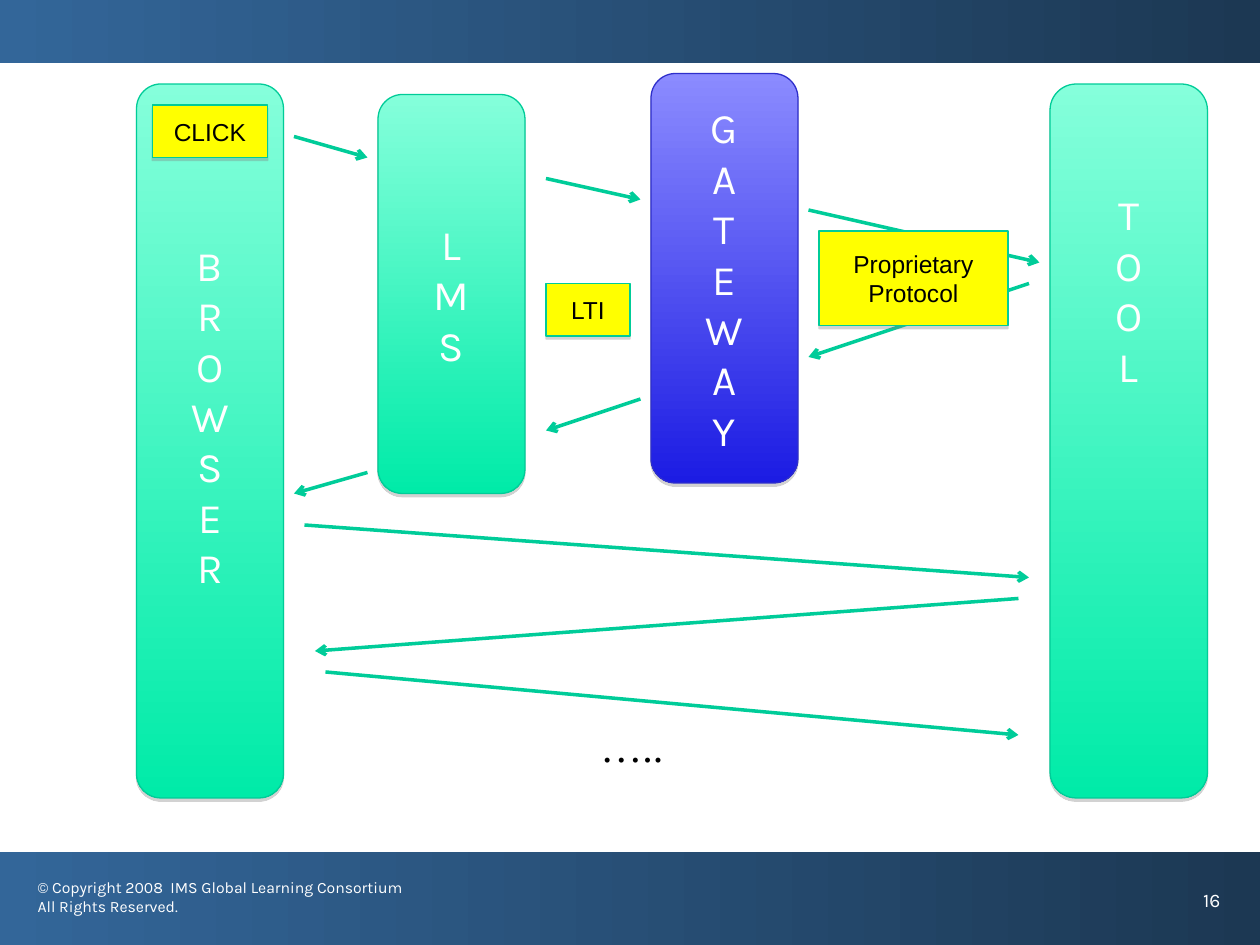
import pptx
import pptx.dml.color
import pptx.enum.shapes
import pptx.enum.text
import pptx.oxml
import pptx.util
from pptx.oxml.ns import nsdecls, qn

Shape = pptx.enum.shapes.MSO_SHAPE
Align = pptx.enum.text.PP_ALIGN
Anchor = pptx.enum.text.MSO_ANCHOR

GRID = 25.4 / 120  # the page is 120 x 90 grid steps
LETTER_STEP = 4.8  # height of one 24 pt line, in grid steps


def units(*steps):
    return [pptx.util.Cm(step * GRID) for step in steps]


def color(hex_code):
    return pptx.dml.color.RGBColor.from_string(hex_code)


def write(box, lines, font="Karla", size=24, ink="FFFFFF",
          align=Align.LEFT, anchor=Anchor.TOP, wrap=True, lift=0):
    """Fill a box with one paragraph per line; lift raises centred text."""
    frame = box.text_frame
    frame.word_wrap = wrap
    frame.vertical_anchor = anchor
    frame.margin_left = frame.margin_right = pptx.util.Cm(0.25)
    frame.margin_top = pptx.util.Cm(0.13)
    frame.margin_bottom = pptx.util.Cm(0.13 + lift * GRID)
    for index, line in enumerate(lines):
        para = frame.paragraphs[0] if index == 0 else frame.add_paragraph()
        para.alignment = align
        span = para.add_run()
        span.text = line
        span.font.name = font
        span.font.size = pptx.util.Pt(size)
        span.font.color.rgb = color(ink)


class Diagram:
    arrow_color = "00CC99"
    border = "00CC98"
    green = ("85FFDB", "00EBA8")
    blue = ("8B8BFF", "1C1CE3")
    bar_colors = ("1C3853", "336699")

    def __init__(self, page):
        self.page = page

    def shape(self, kind, area):
        box = self.page.shapes.add_shape(kind, *units(*area))
        box.shadow.inherit = False
        return box

    def gradient(self, box, colors, angle):
        box.fill.gradient()
        box.fill.gradient_angle = angle
        for stop, hex_code in zip(box.fill.gradient_stops, colors):
            stop.color.rgb = color(hex_code)

    def outline(self, box, hex_code):
        box.line.color.rgb = color(hex_code)
        box.line.width = pptx.util.Pt(0.75)

    def drop_shadow(self, box):
        effects = box._element.spPr.find(qn("a:effectLst"))
        effects.append(pptx.oxml.parse_xml(
            f'<a:outerShdw {nsdecls("a")} blurRad="0" dist="23000" dir="5400000" '
            'rotWithShape="0"><a:srgbClr val="808080"><a:alpha val="35000"/>'
            '</a:srgbClr></a:outerShdw>'))

    def bar(self, area):
        box = self.shape(Shape.RECTANGLE, area)
        self.gradient(box, self.bar_colors, 180)
        box.line.fill.background()

    def system(self, name, area, colors=green, border=border, lift=0):
        box = self.shape(Shape.ROUNDED_RECTANGLE, area)
        self.gradient(box, colors, 270)
        self.outline(box, border)
        self.drop_shadow(box)
        write(box, name, align=Align.CENTER, anchor=Anchor.MIDDLE, lift=lift)

    def label(self, lines, area):
        box = self.shape(Shape.RECTANGLE, area)
        box.fill.solid()
        box.fill.fore_color.rgb = color("FFFF00")
        self.outline(box, self.border)
        self.drop_shadow(box)
        write(box, lines, font="Arial", size=14, ink="000000",
              align=Align.CENTER, anchor=Anchor.MIDDLE)

    def arrow(self, *ends):
        line = self.page.shapes.add_connector(
            pptx.enum.shapes.MSO_CONNECTOR.STRAIGHT, *units(*ends))
        line.line.color.rgb = color(self.arrow_color)
        line.line.width = pptx.util.Pt(2)
        line.line._get_or_add_ln().append(
            pptx.oxml.parse_xml(f'<a:tailEnd {nsdecls("a")} type="arrow"/>'))
        line._element.spPr.append(
            pptx.oxml.parse_xml(f'<a:effectLst {nsdecls("a")}/>'))

    def text(self, lines, area, **style):
        write(self.page.shapes.add_textbox(*units(*area)), lines, **style)


def main():
    deck = pptx.Presentation()
    deck.slide_width, deck.slide_height = units(120, 90)
    diagram = Diagram(deck.slides.add_slide(deck.slide_layouts[6]))

    # Header and footer
    diagram.bar((0, 81.12, 120, 8.88))
    diagram.text(["© Copyright 2008  IMS Global Learning Consortium",
                  "All Rights Reserved."], (2.4, 83, 37.6, 6), size=9)
    diagram.bar((0, 0, 120, 6))
    diagram.text(["16"], (113.4, 84, 6.6, 6), size=11)

    # Systems, with their names set letter by letter
    diagram.system("BROWSER", (13, 8, 14, 68), lift=LETTER_STEP)
    diagram.system("LMS", (36, 9, 14, 38))
    diagram.system("GATEWAY", (62, 7, 14, 39), Diagram.blue, "2E2ECB")
    diagram.system("TOOL", (100, 8, 15, 68), lift=6 * LETTER_STEP)

    # Messages in order of time
    for ends in [(28, 13, 35, 15), (52, 17, 61, 19), (77, 20, 99, 25),
                 (98, 27, 77, 34), (61, 38, 52, 41), (35, 45, 28, 47),
                 (29, 50, 98, 55), (97, 57, 30, 62), (31, 64, 97, 70)]:
        diagram.arrow(*ends)

    # Labels on top of the messages
    diagram.label(["CLICK"], (14.5, 10, 11, 5))
    diagram.label(["LTI"], (52, 27, 8, 5))
    diagram.label(["Proprietary", "Protocol"], (78, 22, 18, 9))
    diagram.text(["….."], (56, 68, 8.4, 6), font="Times New Roman",
                 ink="000000", wrap=False)

    deck.save("out.pptx")


if __name__ == "__main__":
    main()
